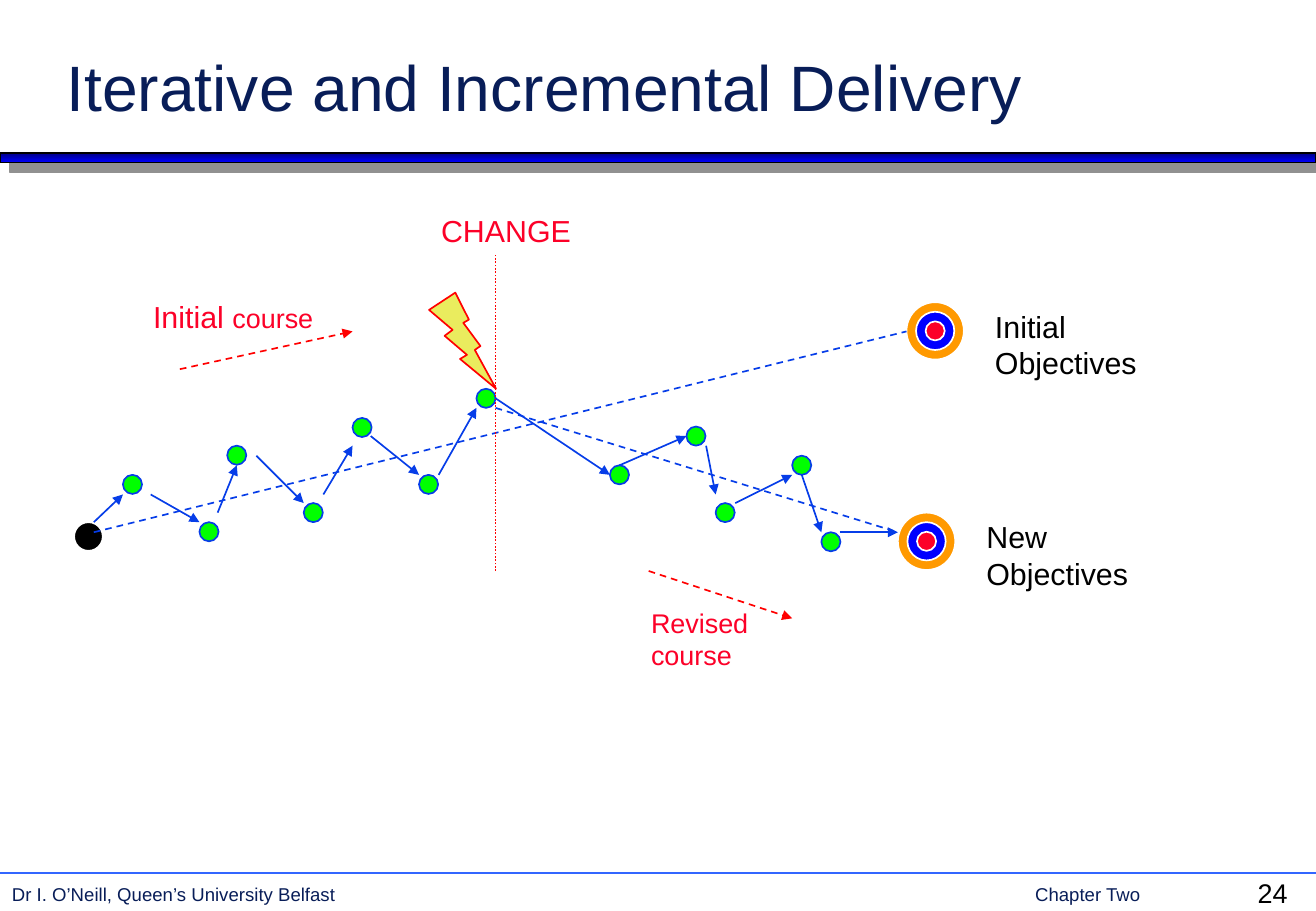
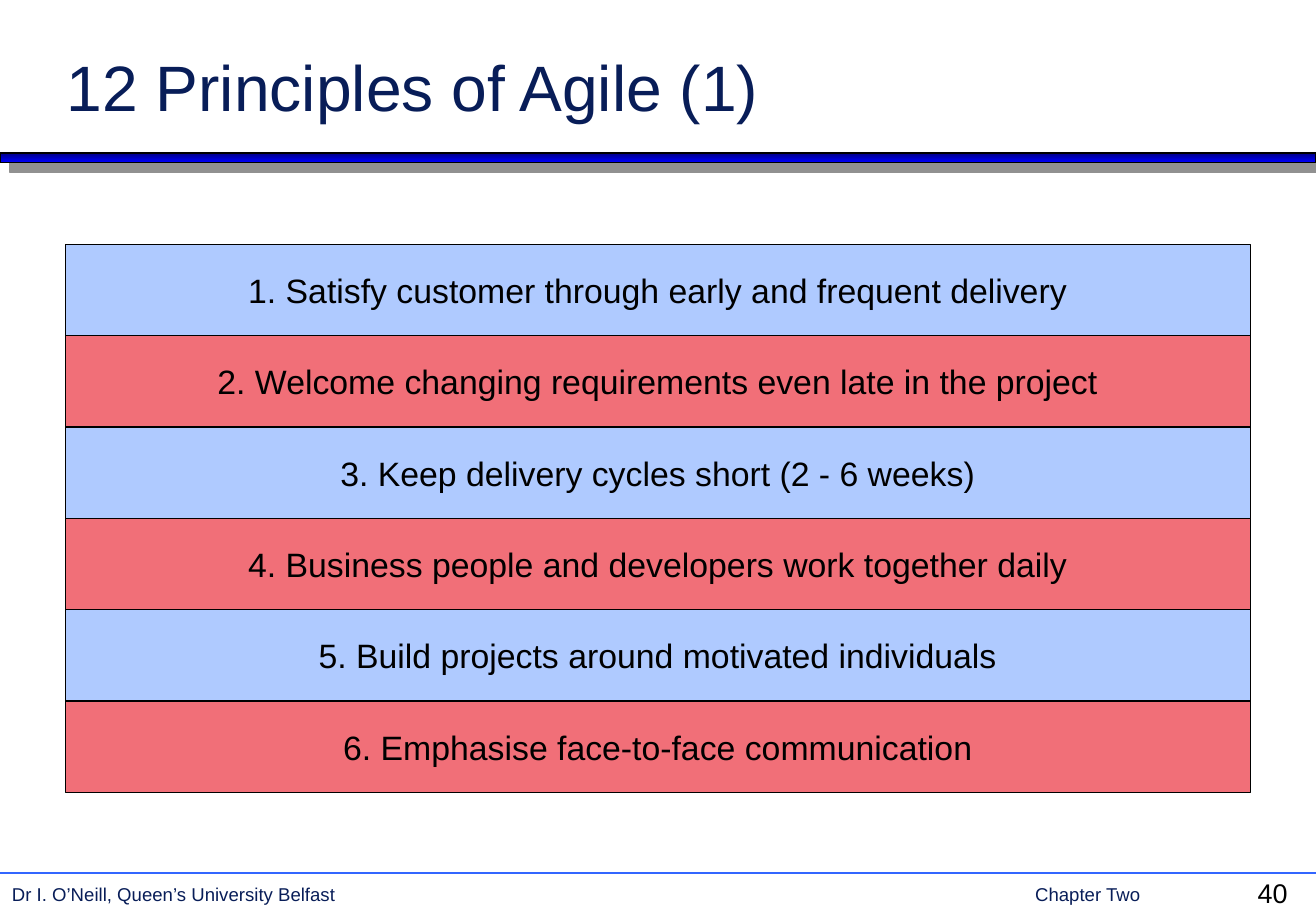
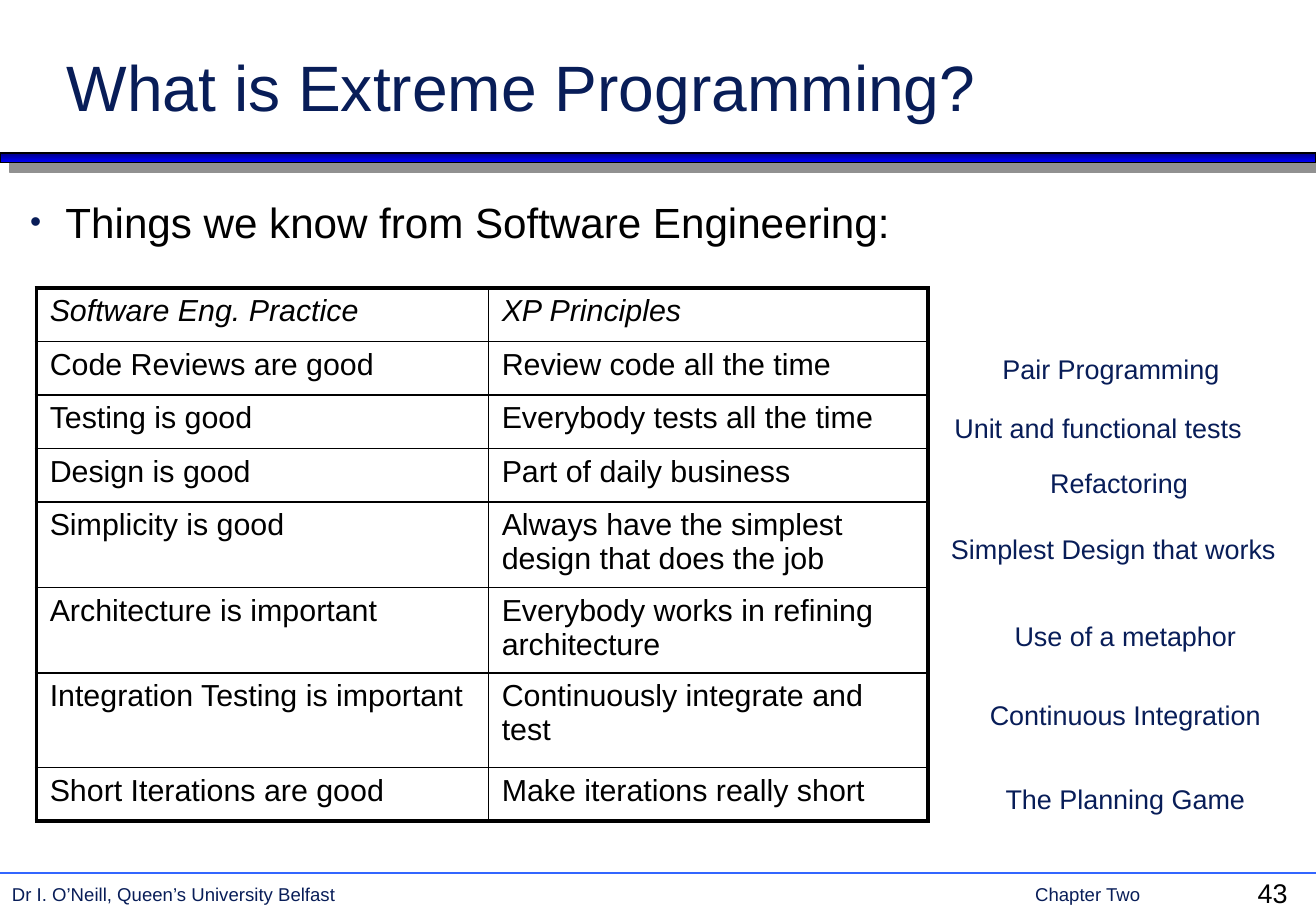
from lxml.etree import SubElement
from pptx import Presentation
from pptx.dml.color import RGBColor
from pptx.enum.dml import MSO_LINE as DASH
from pptx.enum.shapes import MSO_CONNECTOR as CONN, MSO_SHAPE as SHAPE
from pptx.enum.text import MSO_ANCHOR as ANCHOR, PP_ALIGN as ALIGN
from pptx.oxml import parse_xml
from pptx.oxml.ns import nsdecls, qn
from pptx.util import Cm, Pt

NAVY = RGBColor(0x08, 0x1D, 0x58)
BLACK = RGBColor(0, 0, 0)
WHITE = RGBColor(0xFF, 0xFF, 0xFF)
BAND_DARK = RGBColor(0, 0, 0x82)
BLUE = RGBColor(0, 0, 0xFF)
RULE_BLUE = RGBColor(0x33, 0x66, 0xFF)
PATH_BLUE = RGBColor(0x06, 0x3D, 0xE8)
GREEN = RGBColor(0, 0xFF, 0)
ORANGE = RGBColor(0xFF, 0x99, 0)
CRIMSON = RGBColor(0xFC, 0x01, 0x28)
RED = RGBColor(0xFF, 0, 0)
YELLOW = RGBColor(0xEA, 0xEC, 0x5E)
PALE_BLUE = RGBColor(0xAF, 0xCA, 0xFF)
PINK = RGBColor(0xF1, 0x6F, 0x78)
FONT = "Arial"
WIDTH = 27.51


def add_box(s, kind, box, text="", fill=None, line=None, weight=1, size=18,
            color=BLACK, align=ALIGN.LEFT, anchor=ANCHOR.TOP, wrap=True):
    box = [Cm(v) for v in box]
    sp = s.shapes.add_shape(kind, *box) if kind else s.shapes.add_textbox(*box)
    sp.shadow.inherit = False
    if fill is None:
        sp.fill.background()
    else:
        sp.fill.solid()
        sp.fill.fore_color.rgb = fill
    if line is None:
        sp.line.fill.background()
    else:
        sp.line.color.rgb = line
        sp.line.width = Pt(weight)
    if text:
        tf = sp.text_frame
        tf.word_wrap = wrap
        tf.vertical_anchor = anchor
        p = tf.paragraphs[0]
        p.alignment = align
        r = p.add_run()
        r.text = text
        for name, value in {"name": FONT, "size": Pt(size)}.items():
            setattr(r.font, name, value)
        r.font.color.rgb = color
    return sp


def add_line(s, ends, color, dash=None, arrow=False):
    c = s.shapes.add_connector(CONN.STRAIGHT, *[Cm(v) for v in ends])
    c.line.color.rgb = color
    c.line.width = Pt(1)
    if dash:
        c.line.dash_style = dash
    if arrow:
        SubElement(c.line._get_or_add_ln(), qn("a:tailEnd"), type="triangle")
    SubElement(c.element.spPr, qn("a:effectLst"))


prs = Presentation()
prs.slide_width, prs.slide_height = Cm(WIDTH), Cm(19.05)
layout = prs.slide_layouts[5]

slides = []
for title, number in [("Iterative and Incremental Delivery", "24"),
                      ("12 Principles of Agile (1)", "40"),
                      ("What is Extreme Programming?", "43")]:
    s = prs.slides.add_slide(layout)
    sp = s.shapes.title
    sp.left, sp.top, sp.width, sp.height = Cm(1.14), Cm(0.74), Cm(23.5), Cm(1.98)
    sp.text_frame.text = title
    sp.text_frame.vertical_anchor = ANCHOR.BOTTOM
    p = sp.text_frame.paragraphs[0]
    p.alignment = ALIGN.LEFT
    font = p.runs[0].font
    font.name, font.size = FONT, Pt(38)
    font.color.rgb = NAVY
    add_box(s, None, (26.04, 18.21, 1.47, 0.94), number, size=16)
    slides.append(s)
delivery, principles, extreme = slides

s = delivery
own_count = len(s.shapes)
footer = add_box(s, None, (0, 18.34, 25.35, 0.74),
                 "Dr I. O’Neill, Queen’s University Belfast\tChapter Two", size=11, color=NAVY)
tabs = SubElement(footer.text_frame.paragraphs[0]._p.get_or_add_pPr(), qn("a:tabLst"))
SubElement(tabs, qn("a:tab"), pos=str(Cm(21.39)), algn="l")
band = add_box(s, SHAPE.RECTANGLE, (0, 3.2, WIDTH, 0.2), line=BLACK)
band.fill.gradient()
band.fill.gradient_angle = 270
for stop, color in zip(band.fill.gradient_stops, (BAND_DARK, BLUE)):
    stop.color.rgb = color
band.element.spPr.find(qn("a:effectLst")).append(parse_xml(
    f'<a:outerShdw {nsdecls("a")} dist="{Pt(8.5)}" dir="2700000" algn="ctr" rotWithShape="0">'
    '<a:srgbClr val="919191"/></a:outerShdw>'))
add_line(s, (0, 18.26, WIDTH, 18.26), RULE_BLUE)
for sp in list(s.shapes)[own_count:]:
    layout.shapes.element.append(sp.element)

for x, y, label in [(18.95, 6.32, "Initial Objectives"), (18.77, 10.72, "New Objectives")]:
    for inset, fill in [(0, ORANGE), (0.2, BLUE), (0.4, CRIMSON)]:
        ring = 1.2 - 2 * inset
        add_box(s, SHAPE.OVAL, (x + inset, y + inset, ring, ring), fill=fill, line=WHITE)
    add_box(s, None, (x + 1.6, y, 3.99, 1.78), label)

add_box(s, SHAPE.OVAL, (1.55, 10.92, 0.6, 0.6), fill=BLACK, line=WHITE)
for x, y in [(2.57, 9.93), (4.17, 10.92), (4.75, 9.32), (6.35, 10.52), (7.37, 8.74),
             (8.76, 9.93), (9.96, 8.13), (12.75, 9.73), (14.35, 8.92), (14.96, 10.52),
             (16.56, 9.53), (17.17, 11.13)]:
    add_box(s, SHAPE.OVAL, (x, y, 0.4, 0.4), fill=GREEN, line=PATH_BLUE)
for ends in [(1.96, 10.92, 2.57, 10.34), (3.15, 10.34, 4.17, 10.92),
             (4.55, 10.72, 4.95, 9.73), (5.36, 9.53, 6.35, 10.52),
             (6.76, 10.34, 7.37, 9.32), (7.75, 9.12, 8.76, 9.93),
             (9.17, 9.93, 9.96, 8.53), (10.36, 8.33, 12.75, 9.93),
             (12.95, 9.73, 14.35, 9.12), (14.76, 9.32, 14.96, 10.34),
             (15.37, 10.52, 16.56, 9.93), (16.76, 9.93, 17.17, 11.13),
             (17.55, 11.13, 18.77, 11.13)]:
    add_line(s, ends, PATH_BLUE, arrow=True)
for ends in [(1.96, 11.13, 18.95, 6.93), (10.36, 8.53, 18.77, 11.13)]:
    add_line(s, ends, PATH_BLUE, DASH.DASH)
for ends in [(3.76, 7.72, 7.37, 6.93), (13.56, 11.94, 16.56, 12.93)]:
    add_line(s, ends, RED, DASH.DASH, arrow=True)

add_box(s, SHAPE.LIGHTNING_BOLT, (8.97, 6.12, 1.4, 2.01), fill=YELLOW, line=RED)
add_line(s, (10.36, 11.94, 10.36, 5.33), RED, DASH.ROUND_DOT)
add_box(s, None, (8.97, 4.32, 3.61, 1.02), "CHANGE", color=CRIMSON)
add_box(s, None, (13.36, 12.55, 3.99, 1.63), "Revised course", size=16, color=CRIMSON)
course = add_box(s, None, (2.95, 6.12, 3.99, 1.02), "Initial ", color=CRIMSON)
r = course.text_frame.paragraphs[0].add_run()
r.text = "course"
r.font.name, r.font.size = FONT, Pt(16)
r.font.color.rgb = CRIMSON

for i, text in enumerate(["Satisfy customer through early and frequent delivery",
                          "Welcome changing requirements even late in the project",
                          "Keep delivery cycles short (2 - 6 weeks)",
                          "Business people and developers work together daily",
                          "Build projects around motivated individuals",
                          "Emphasise face-to-face communication"]):
    add_box(principles, SHAPE.RECTANGLE, (1.37, 5.11 + 1.91 * i, 24.77, 1.91),
            f"{i + 1}. {text}", fill=(PALE_BLUE, PINK)[i % 2], line=BLACK, weight=0.75,
            size=20, align=ALIGN.CENTER, anchor=ANCHOR.MIDDLE, wrap=False)

s = extreme
intro = add_box(s, None, (0.38, 3.99, 25.37, 13.59),
                "Things we know from Software Engineering:", size=25)
pPr = intro.text_frame.paragraphs[0]._p.get_or_add_pPr()
pPr.set("marL", str(Cm(0.74)))
pPr.set("indent", str(Cm(-0.74)))
SubElement(SubElement(pPr, qn("a:buClr")), qn("a:srgbClr"), val=str(NAVY))
SubElement(pPr, qn("a:buSzPct"), val="75000")
SubElement(pPr, qn("a:buFont"), typeface=FONT)
SubElement(pPr, qn("a:buChar"), char="•")

rows = [("Software Eng. Practice", "XP Principles", 1.12),
        ("Code Reviews are good", "Review code all the time", 1.12),
        ("Testing is good", "Everybody tests all the time", 1.12),
        ("Design is good", "Part of daily business", 1.12),
        ("Simplicity is good", "Always have the simplest design that does the job", 1.7),
        ("Architecture is important", "Everybody works in refining architecture", 1.7),
        ("Integration Testing is important", "Continuously integrate and test", 1.98),
        ("Short Iterations are good", "Make iterations really short", 1.12)]
last = len(rows) - 1
table = s.shapes.add_table(len(rows), 2, Cm(0.76), Cm(6.02), Cm(18.64),
                           Cm(sum(row[2] for row in rows))).table
table.first_row = table.horz_banding = False
table.columns[0].width, table.columns[1].width = Cm(9.45), Cm(9.19)
for i, (practice, principle, height) in enumerate(rows):
    table.rows[i].height = Cm(height)
    for j, text in enumerate((practice, principle)):
        cell = table.cell(i, j)
        for name, value in {"margin_left": 0.28, "margin_right": 0.28,
                            "margin_top": 0.13, "margin_bottom": 0.13}.items():
            setattr(cell, name, Cm(value))
        cell.fill.background()
        r = cell.text_frame.paragraphs[0].add_run()
        r.text = text
        for name, value in {"name": FONT, "size": Pt(18), "italic": i == 0}.items():
            setattr(r.font, name, value)
        r.font.color.rgb = BLACK
        outer = {"L": j == 0, "R": j == 1, "T": i == 0, "B": i == last}
        for k, (side, thick) in enumerate(outer.items()):
            cell._tc.get_or_add_tcPr().insert(k, parse_xml(
                f'<a:ln{side} {nsdecls("a")} w="{Pt(2.25 if thick else 1)}"><a:solidFill>'
                f'<a:srgbClr val="{BLACK}"/></a:solidFill></a:ln{side}>'))

for x, y, w, text in [(20.24, 7.09, 5.97, "Pair Programming"),
                      (19.2, 8.33, 7.67, "Unit and functional tests "),
                      (19.56, 9.47, 7.67, "Refactoring"),
                      (19.2, 10.85, 8.15, "Simplest Design that works"),
                      (19.69, 12.67, 7.67, "Use of a metaphor"),
                      (19.69, 14.33, 7.67, "Continuous Integration"),
                      (19.69, 16.08, 7.67, "The Planning Game")]:
    add_box(s, SHAPE.PLAQUE, (x, y, w, 1.24), text, size=16, color=NAVY,
            align=ALIGN.CENTER, anchor=ANCHOR.MIDDLE)

prs.save("out.pptx")
